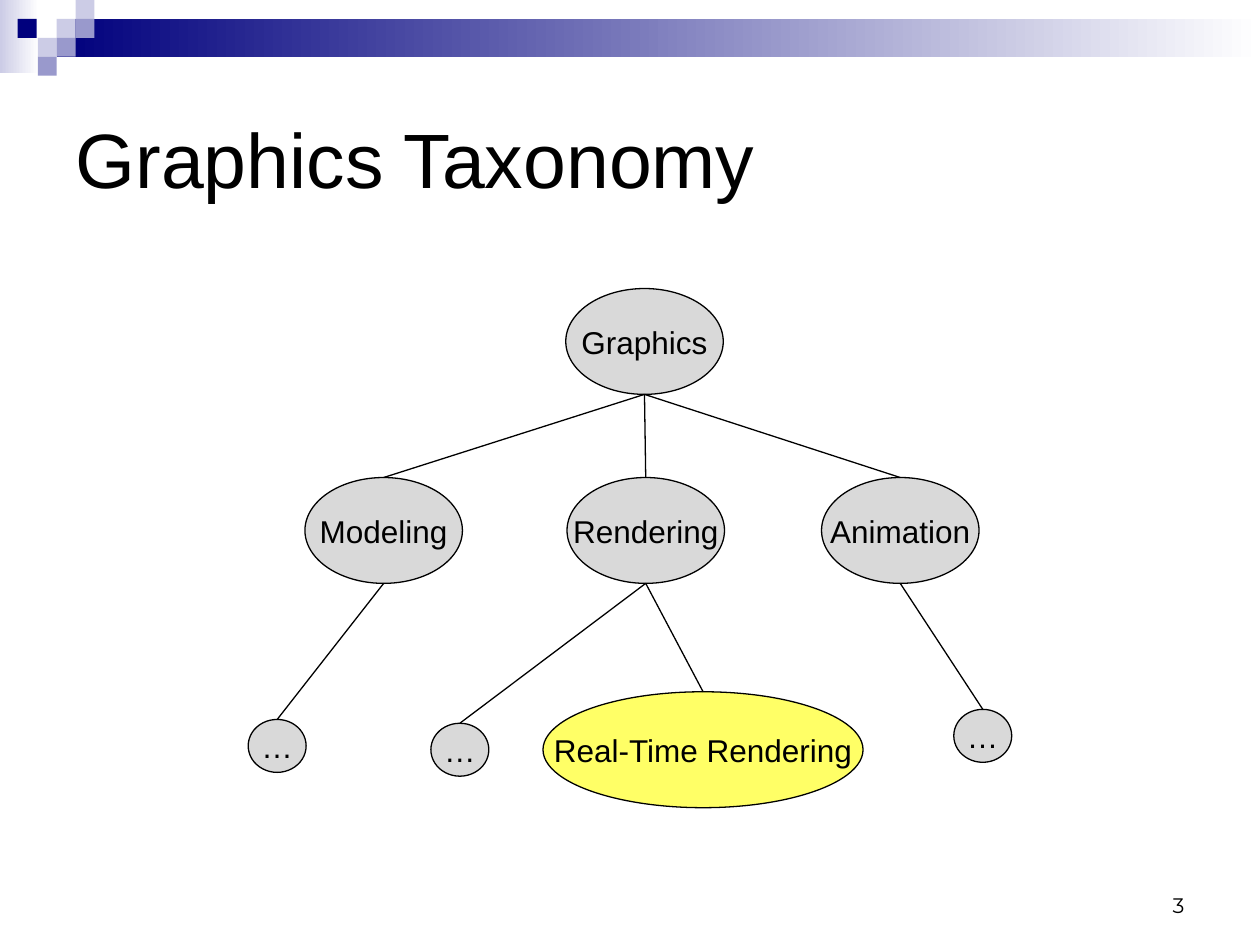
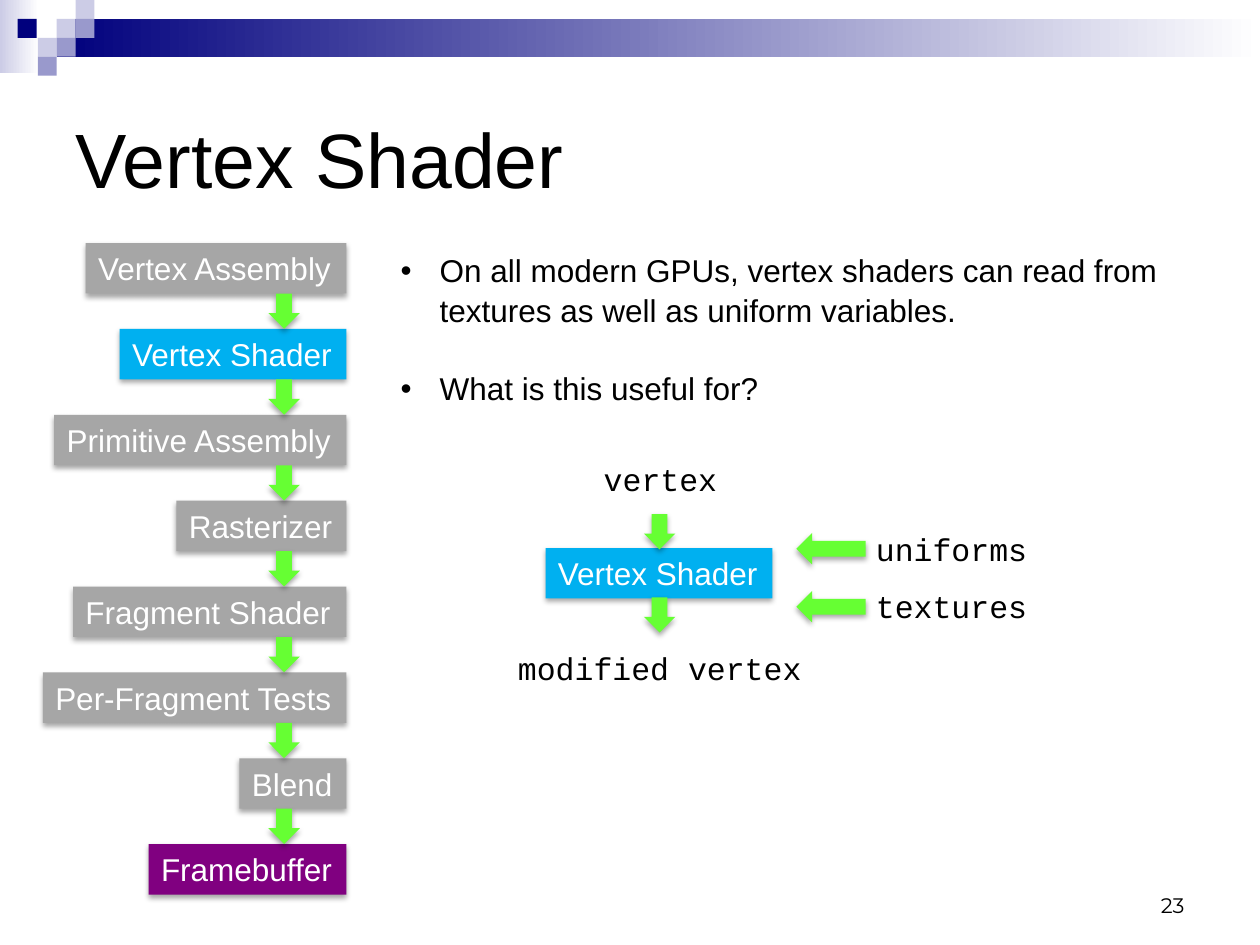
from lxml import etree
from pptx import Presentation
from pptx.dml.color import RGBColor
from pptx.enum.shapes import MSO_CONNECTOR, MSO_SHAPE
from pptx.enum.text import MSO_ANCHOR, MSO_AUTO_SIZE, PP_ALIGN
from pptx.oxml.ns import qn
from pptx.util import Inches, Pt

RECTANGLE = MSO_SHAPE.RECTANGLE
OVAL = MSO_SHAPE.OVAL
DOWN_ARROW = MSO_SHAPE.DOWN_ARROW
STRAIGHT = MSO_CONNECTOR.STRAIGHT
LEFT, CENTER, RIGHT = PP_ALIGN.LEFT, PP_ALIGN.CENTER, PP_ALIGN.RIGHT
MIDDLE, TOP, BOTTOM = MSO_ANCHOR.MIDDLE, MSO_ANCHOR.TOP, MSO_ANCHOR.BOTTOM
NO_AUTOFIT = MSO_AUTO_SIZE.NONE

CONTENT_LAYOUT, TITLE_LAYOUT = 1, 5
SANS, MONO, NUMBER_FONT = "Arial", "Courier New", "Montserrat"
BLACK, WHITE = "000000", "FFFFFF"
NAVY, LAVENDER, PERIWINKLE = "00007D", "CCCCE6", "9999CC"
NODE_GRAY, YELLOW = "D9D9D9", "FFFF66"
STAGE_GRAY, BLUE, PURPLE, GREEN = "A6A6A6", "00B0F0", "800080", "66FF33"

BANDS = [(0, 0, 0.31, 0.58, LAVENDER), (0.45, 0.15, 9.55, 0.3, NAVY)]
SQUARE = 0.15
SQUARES = [
    (0.45, 0.15, LAVENDER), (0.6, 0, LAVENDER), (0.6, 0.15, PERIWINKLE),
    (0.3, 0.3, LAVENDER), (0.14, 0.15, NAVY), (0.45, 0.3, PERIWINKLE),
    (0.3, 0.45, PERIWINKLE),
]

NODE, LEAF, WIDE = (1.25, 0.84), (0.46, 0.42), (2.54, 0.92)
NODES = {
    "graphics": ("Graphics", 4.49, 2.29, NODE, NODE_GRAY),
    "rendering": ("Rendering", 4.5, 3.79, NODE, NODE_GRAY),
    "modeling": ("Modeling", 2.42, 3.79, NODE, NODE_GRAY),
    "animation": ("Animation", 6.52, 3.79, NODE, NODE_GRAY),
    "real_time": ("Real-Time Rendering", 4.31, 5.49, WIDE, YELLOW),
    "more_modeling": ("…", 1.97, 5.71, LEAF, NODE_GRAY),
    "more_animation": ("…", 7.57, 5.63, LEAF, NODE_GRAY),
    "more_rendering": ("…", 3.42, 5.74, LEAF, NODE_GRAY),
}
BRANCHES = [
    ("graphics", "modeling"), ("graphics", "rendering"),
    ("graphics", "animation"), ("animation", "more_animation"),
    ("rendering", "real_time"), ("rendering", "more_rendering"),
    ("modeling", "more_modeling"),
]

STAGES = [
    ("Vertex Assembly", 2.07, STAGE_GRAY), ("Vertex Shader", 1.8, BLUE),
    ("Primitive Assembly", 2.32, STAGE_GRAY), ("Rasterizer", 1.35, STAGE_GRAY),
    ("Fragment Shader", 2.17, STAGE_GRAY),
    ("Per-Fragment Tests", 2.41, STAGE_GRAY), ("Blend", 0.85, STAGE_GRAY),
    ("Framebuffer", 1.57, PURPLE),
]
STAGE_TOP, STAGE_BOTTOM, STAGE_RIGHT = 1.93, 6.7, 2.75
STAGE_HEIGHT = 0.4
STAGE_STEP = (STAGE_BOTTOM - STAGE_TOP) / (len(STAGES) - 1)

SHADER_LABELS = [
    ("vertex", 4.68, 3.6, 1.11), ("modified vertex", 4, 5.1, 2.46),
    ("uniforms", 6.84, 4.16, 1.41), ("textures", 6.84, 4.61, 1.41),
]
QUESTIONS = [
    "On all modern GPUs, vertex shaders can read from textures as well as "
    "uniform variables.",
    "What is this useful for?",
]


def color(value):
    return RGBColor.from_string(value)


def place(shape, left, top, width, height):
    shape.left, shape.top = Inches(left), Inches(top)
    shape.width, shape.height = Inches(width), Inches(height)


def format_text(frame, size, ink=BLACK, face=SANS, align=LEFT):
    for para in frame.paragraphs:
        para.alignment = align
        for span in para.runs:
            span.font.size = Pt(size)
            span.font.name = face
            span.font.color.rgb = color(ink)


def add_figure(page, kind, left, top, width, height, fill):
    shape = page.shapes.add_shape(
        kind, Inches(left), Inches(top), Inches(width), Inches(height))
    shape.shadow.inherit = False
    shape.fill.solid()
    shape.fill.fore_color.rgb = color(fill)
    shape.line.fill.background()
    return shape


def fade_to_white(shape, start):
    shape.fill.gradient()
    shape.fill.gradient_angle = 0
    for stop, value in zip(shape.fill.gradient_stops, (start, WHITE)):
        stop.color.rgb = color(value)


def add_soft_shadow(shape):
    effects = shape._element.spPr.find(qn("a:effectLst"))
    shadow = etree.SubElement(
        effects, qn("a:outerShdw"), blurRad=str(Pt(3.1)), dist=str(Pt(1.8)),
        dir="5400000", rotWithShape="0")
    tint = etree.SubElement(shadow, qn("a:srgbClr"), val=BLACK)
    etree.SubElement(tint, qn("a:alpha"), val="35000")


def decorate_master(deck, page):
    shapes = []
    for left, top, width, height, start in BANDS:
        band = add_figure(page, RECTANGLE, left, top, width, height, start)
        fade_to_white(band, start)
        shapes.append(band)
    for left, top, fill in SQUARES:
        shapes.append(
            add_figure(page, RECTANGLE, left, top, SQUARE, SQUARE, fill))
    tree = deck.slide_master.shapes._spTree
    for index, shape in enumerate(shapes):
        element = shape._element
        element.xpath(".//p:cNvPr")[0].set("id", str(100 + index))
        tree.insert(2 + index, element)


def add_label(page, text, left, top, width, height=0.4, size=18, face=MONO,
              anchor=TOP):
    box = page.shapes.add_textbox(
        Inches(left), Inches(top), Inches(width), Inches(height))
    frame = box.text_frame
    frame.text = text
    frame.word_wrap = False
    frame.vertical_anchor = anchor
    format_text(frame, size, face=face, align=RIGHT)


def add_page(deck, layout, title, number):
    page = deck.slides.add_slide(deck.slide_layouts[layout])
    heading = page.shapes.title
    place(heading, 0.5, 0.5, 9, 1.5)
    frame = heading.text_frame
    frame.text = title
    frame.auto_size = NO_AUTOFIT
    frame.vertical_anchor = MIDDLE
    format_text(frame, 44)
    add_label(page, number, 7.17, 6.83, 2.33, 0.5, 12, NUMBER_FONT, BOTTOM)
    return page


def add_node(page, text, left, top, size, fill):
    node = add_figure(page, OVAL, left, top, *size, fill)
    node.line.color.rgb = color(BLACK)
    node.line.width = Pt(0.75)
    frame = node.text_frame
    frame.text = text
    frame.word_wrap = False
    frame.margin_left = frame.margin_right = 0
    frame.margin_top = frame.margin_bottom = 0
    format_text(frame, 18, align=CENTER)
    return node


def add_branch(page, parent, child):
    line = page.shapes.add_connector(
        STRAIGHT, parent.left + parent.width // 2, parent.top + parent.height,
        child.left + child.width // 2, child.top)
    line.line.color.rgb = color(BLACK)
    line.line.width = Pt(0.75)
    etree.SubElement(line._element.spPr, qn("a:effectLst"))


def add_stage(page, text, left, top, width, fill):
    stage = add_figure(page, RECTANGLE, left, top, width, STAGE_HEIGHT, fill)
    add_soft_shadow(stage)
    stage.text_frame.text = text
    stage.text_frame.word_wrap = False
    format_text(stage.text_frame, 18, WHITE)


def add_arrow(page, left, top, length=0.28, rotation=0):
    arrow = add_figure(page, DOWN_ARROW, left, top, 0.25, length, GREEN)
    arrow.rotation = rotation
    add_soft_shadow(arrow)


def fill_bullets(body, items):
    place(body, 3.08, 1.93, 6.5, 1.92)
    frame = body.text_frame
    frame.text = "\n".join(items)
    frame.auto_size = NO_AUTOFIT
    frame.vertical_anchor = TOP
    for index, para in enumerate(frame.paragraphs):
        properties = para._p.get_or_add_pPr()
        properties.set("marL", str(Inches(0.31)))
        properties.set("indent", str(Inches(-0.31)))
        para.line_spacing = 1.05
        para.space_before = Pt(22 if index else 0)
    format_text(frame, 18)


def build_taxonomy(page):
    nodes = {key: add_node(page, *node) for key, node in NODES.items()}
    for parent, child in BRANCHES:
        add_branch(page, nodes[parent], nodes[child])


def build_pipeline(page):
    for index, (text, width, fill) in enumerate(STAGES):
        top = STAGE_TOP + index * STAGE_STEP
        add_stage(page, text, STAGE_RIGHT - width, top, width, fill)
    for index in range(len(STAGES) - 1):
        top = STAGE_TOP + index * STAGE_STEP + STAGE_HEIGHT
        add_arrow(page, 2.13, top)


def build_shader_inputs(page):
    add_stage(page, "Vertex Shader", 4.33, 4.35, 1.8, BLUE)
    for top in (4.08, 4.74):
        add_arrow(page, 5.11, top)
    for top in (4.08, 4.54):
        add_arrow(page, 6.47, top, 0.55, 90)
    for label in SHADER_LABELS:
        add_label(page, *label)


def main():
    deck = Presentation()
    deck.slide_width, deck.slide_height = Inches(10), Inches(7.5)

    taxonomy = add_page(deck, TITLE_LAYOUT, "Graphics Taxonomy", "3")
    decorate_master(deck, taxonomy)
    build_taxonomy(taxonomy)

    shader = add_page(deck, CONTENT_LAYOUT, "Vertex Shader", "23")
    fill_bullets(shader.placeholders[1], QUESTIONS)
    build_pipeline(shader)
    build_shader_inputs(shader)

    deck.save("out.pptx")


if __name__ == "__main__":
    main()
